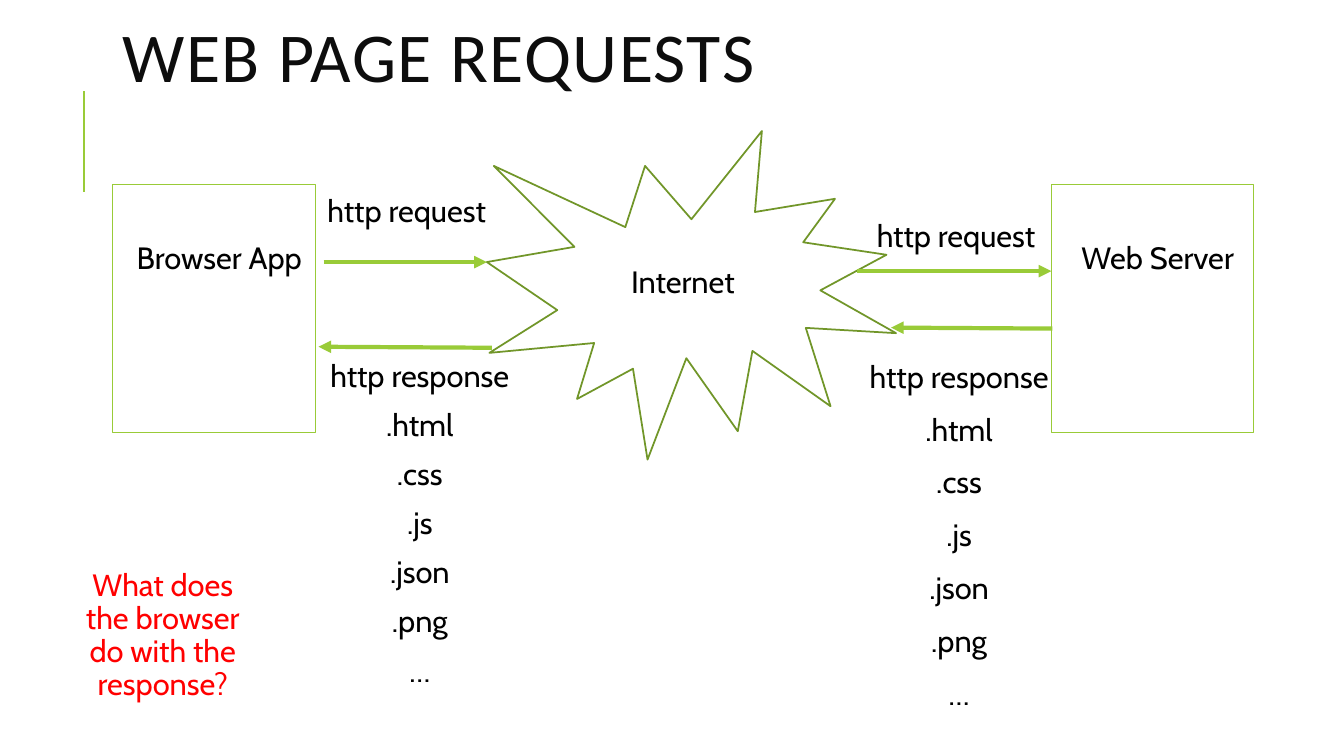
import pptx
import pptx.dml.color
import pptx.enum.shapes
import pptx.enum.text
import pptx.oxml.ns
import pptx.util
from lxml import etree

Pt = pptx.util.Pt
SHAPES = pptx.enum.shapes.MSO_SHAPE
ANCHOR = pptx.enum.text.MSO_ANCHOR
ALIGN = pptx.enum.text.PP_ALIGN

GREEN, DARK_GREEN, RED, BLACK = "99CB38", "719629", "FF0000", "000000"
LABEL_WIDTH = 144.72
ENDPOINT_SIZE = (LABEL_WIDTH, 177.12)
ENDPOINT_TOP = 131.76
ENDPOINTS = [("Browser App", 80.64), ("Web Server", 750.96)]
INTERNET = (347.76, 93.6, 292.32, 234.72)
RESPONSE = ["http response", ".html", ".css", ".js", ".json", ".png", "…"]
LABELS = [
    (["http request"], 214.56, 133.92, 36, 0.9, BLACK),
    (RESPONSE, 223.92, 253.44, 244.08, 0.8, BLACK),
    (["http request"], 606.96, 151.92, 36, 0.9, BLACK),
    (RESPONSE, 609.12, 253.44, 259.92, 0.9, BLACK),
    (["Internet"], 411.84, 184.32, 36, 0.9, BLACK),
    (["What does the browser do with the response?"], 40.32, 386.64, 135.36, 0.9, RED),
]
ARROWS = [
    (231.12, 187.2, 347.76, 187.2),
    (612, 193.68, 750.96, 193.68),
    (751.68, 234.72, 636.48, 234),
    (351.36, 248.4, 227.52, 247.68),
]

deck = pptx.Presentation()
deck.slide_width, deck.slide_height = Pt(960), Pt(540)
page = deck.slides.add_slide(deck.slide_layouts[6])


def color(code):
    return pptx.dml.color.RGBColor.from_string(code)


def add_outline(kind, frame, line_color, line_width):
    shape = page.shapes.add_shape(kind, *map(Pt, frame))
    shape.shadow.inherit = False
    shape.fill.background()
    shape.line.color.rgb = color(line_color)
    shape.line.width = Pt(line_width)
    return shape


def add_line(ends, width, arrow=False):
    line = page.shapes.add_connector(
        pptx.enum.shapes.MSO_CONNECTOR.STRAIGHT, *map(Pt, ends))
    line.line.color.rgb = color(GREEN)
    line.line.width = Pt(width)
    if arrow:
        tail = etree.SubElement(line.line._get_or_add_ln(), pptx.oxml.ns.qn("a:tailEnd"))
        tail.set("type", "triangle")
    etree.SubElement(line._element.spPr, pptx.oxml.ns.qn("a:effectLst"))


def add_span(para, text, font, size, code):
    span = para.add_run()
    span.text = text
    span.font.name = font
    span.font.size = Pt(size)
    span.font.color.rgb = color(code)
    return span


def write_label(box, lines, spacing, code, anchor=ANCHOR.MIDDLE, top_margin=3.6):
    frame = box.text_frame
    frame.word_wrap = True
    frame.vertical_anchor = anchor
    frame.margin_left, frame.margin_right = Pt(10.8), Pt(3.6)
    frame.margin_top, frame.margin_bottom = Pt(top_margin), Pt(3.6)
    for index, text in enumerate(lines):
        para = frame.add_paragraph() if index else frame.paragraphs[0]
        para.alignment = ALIGN.CENTER
        para.line_spacing = spacing
        para.space_before = Pt(12 if index else 0)
        para.space_after = Pt(2)
        add_span(para, text, "Cabin", 22, code)


add_line((60, 136.8, 60, 64.8), 1.5)

title = page.shapes.add_textbox(Pt(80.64), Pt(15.84), Pt(765.36), Pt(57.6))
title.text_frame.word_wrap = True
title.text_frame.vertical_anchor = ANCHOR.MIDDLE
heading = title.text_frame.paragraphs[0]
heading.line_spacing = 0.8
heading_span = add_span(heading, "WEB PAGE REQUESTS", "Calibri", 50, "0D0D0D")
heading_span.font._element.set("spc", "100")

for name, left in ENDPOINTS:
    endpoint = add_outline(SHAPES.RECTANGLE, (left, ENDPOINT_TOP, *ENDPOINT_SIZE), GREEN, 0.75)
    write_label(endpoint, [name], 0.9, BLACK, ANCHOR.TOP, 42)

add_outline(SHAPES.EXPLOSION1, INTERNET, DARK_GREEN, 1.25)

for ends in ARROWS:
    add_line(ends, 3, arrow=True)

for lines, left, top, height, spacing, code in LABELS:
    label = page.shapes.add_textbox(Pt(left), Pt(top), Pt(LABEL_WIDTH), Pt(height))
    write_label(label, lines, spacing, code)

deck.save("out.pptx")
